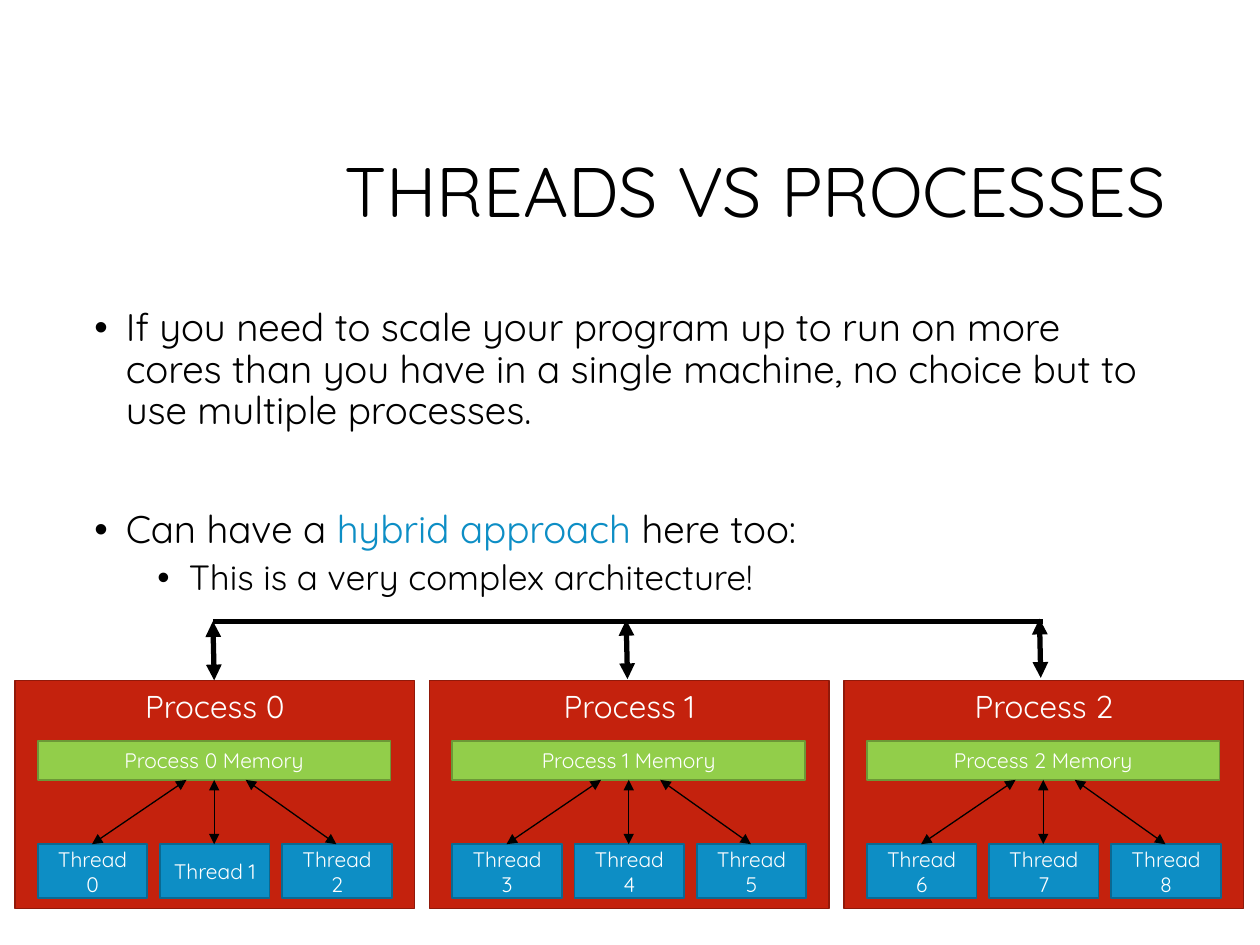
"""Build the slide on threads versus processes with a hybrid layout diagram."""
from lxml.etree import SubElement as Sub
from pptx import Presentation
from pptx.dml.color import RGBColor
from pptx.enum.shapes import MSO_CONNECTOR as Link, MSO_SHAPE as Shape
from pptx.enum.text import MSO_ANCHOR as Anchor, PP_ALIGN as Align
from pptx.oxml.ns import qn
from pptx.util import Inches, Pt

BLACK = RGBColor(0x00, 0x00, 0x00)
WHITE = RGBColor(0xFF, 0xFF, 0xFF)
RED = RGBColor(0xC4, 0x22, 0x0D)
MAROON = RGBColor(0x91, 0x19, 0x0A)
GREEN = RGBColor(0x92, 0xCE, 0x4A)
OLIVE = RGBColor(0x6C, 0x98, 0x37)
BLUE = RGBColor(0x0D, 0x8E, 0xC5)
NAVY = RGBColor(0x0A, 0x69, 0x92)
FONT = "Quicksand"

deck = Presentation()
deck.slide_width, deck.slide_height = Inches(10), Inches(7.5)
slide = deck.slides.add_slide(deck.slide_layouts[6])
shapes = slide.shapes


def add_box(left, top, width, height, text, fill, edge, size=12, anchor=Anchor.MIDDLE):
    box = shapes.add_shape(Shape.RECTANGLE, *map(Inches, (left, top, width, height)))
    box.shadow.inherit = False
    box.fill.solid()
    box.fill.fore_color.rgb = fill
    box.line.color.rgb = edge
    box.line.width = Pt(1)
    frame = box.text_frame
    frame.word_wrap = True
    frame.vertical_anchor = anchor
    para = frame.paragraphs[0]
    para.text = text
    para.alignment = Align.CENTER
    para.font.name, para.font.size = FONT, Pt(size)
    para.font.color.rgb = WHITE


def add_line(x1, y1, x2, y2, width, ends=("headEnd", "tailEnd")):
    line = shapes.add_connector(Link.STRAIGHT, *map(Inches, (x1, y1, x2, y2)))
    line.line.color.rgb = BLACK
    line.line.width = Pt(width)
    for end in ends:
        Sub(line.line._get_or_add_ln(), qn("a:" + end), type="triangle")
    Sub(line._element.spPr, qn("a:effectLst"))


title = shapes.add_textbox(*map(Inches, (2.38, 0.84, 6.97, 1.41))).text_frame
title.word_wrap = True
title.vertical_anchor = Anchor.MIDDLE
para = title.paragraphs[0]
para.text = "THREADS VS PROCESSES"
para.alignment = Align.RIGHT
para.line_spacing = 0.9
para.font.name, para.font.size = FONT, Pt(40)
para.font.color.rgb = BLACK

points = [
    (0, 22, 0, [("If you need to scale your program up to run on more cores than "
                 "you have in a single machine, no choice but to use multiple "
                 "processes.", BLACK)]),
    (0, 22, 44, [("Can have a ", BLACK), ("hybrid approach ", BLUE), ("here too:", BLACK)]),
    (1, 20, 5, [("This is a very complex architecture!", BLACK)]),
]
body = shapes.add_textbox(*map(Inches, (0.65, 2.4, 8.7, 2.49))).text_frame
body.word_wrap = True
for row, (level, size, gap, runs) in enumerate(points):
    para = body.add_paragraph() if row else body.paragraphs[0]
    para.level = level
    para.line_spacing = 0.9
    para.space_before = Pt(gap)
    props = para._p.get_or_add_pPr()
    props.set("marL", str(Inches(0.25 + level * 0.5)))
    props.set("indent", str(-Inches(0.25)))
    Sub(props, qn("a:buFont"), typeface="Arial")
    Sub(props, qn("a:buChar"), char="•")
    para.font.name, para.font.size = FONT, Pt(size)
    for text, color in runs:
        run = para.add_run()
        run.text = text
        run.font.color.rgb = color

STEP, PITCH, BUS = 3.29, 0.97, 4.93
MEM, ROW = 5.88, 6.7
for proc in range(3):
    left = 0.12 + proc * STEP
    mid = left + 1.58
    add_box(left, 5.4, 3.17, 1.81, f"Process {proc}", RED, MAROON, 18, Anchor.TOP)
    add_box(left + 0.18, MEM, 2.8, 0.31, f"Process {proc} Memory", GREEN, OLIVE)
    for col, start in enumerate((-0.22, 0, 0.25)):
        cell = left + 0.18 + col * PITCH
        add_box(cell, ROW, 0.87, 0.43, f"Thread {proc * 3 + col}", BLUE, NAVY)
        add_line(mid + start, MEM + 0.31, mid + (col - 1) * PITCH, ROW, 0.75)

add_line(1.69, BUS, 8.28, BUS, 3, ())
for proc in range(3):
    x, y = 1.69 + proc * 3.28, BUS - proc * 0.01
    add_line(x, y, x + 0.01, y + 0.47, 3)

deck.save("out.pptx")
